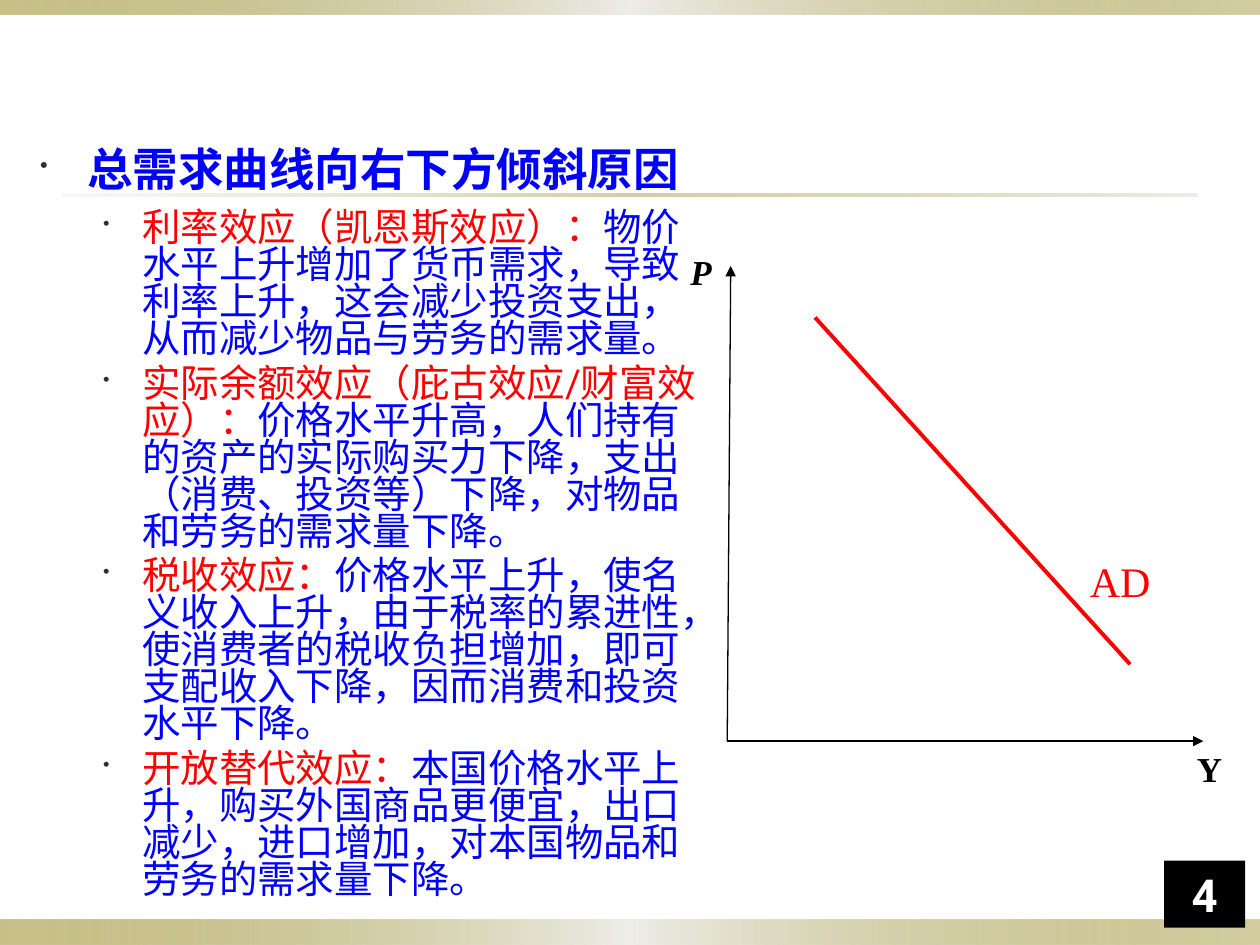
from dataclasses import dataclass
from typing import NamedTuple

from lxml import etree
from pptx import Presentation
from pptx.dml.color import RGBColor
from pptx.enum.shapes import MSO_CONNECTOR, MSO_SHAPE
from pptx.enum.text import MSO_ANCHOR, PP_ALIGN
from pptx.oxml.ns import qn
from pptx.util import Cm, Pt

RECTANGLE = MSO_SHAPE.RECTANGLE
STRAIGHT = MSO_CONNECTOR.STRAIGHT
BOTTOM = MSO_ANCHOR.BOTTOM
CENTER = PP_ALIGN.CENTER


@dataclass(frozen=True)
class Theme:
    body_font: str = "Roboto"
    label_font: str = "Times New Roman"
    blue: str = "0000FF"
    red: str = "FF0000"
    black: str = "000000"
    white: str = "FFFFFF"
    bullet: str = "2F2F2F"
    olive: str = "918415"
    pale: str = "EEEDE8"
    sand: str = "DCD9CC"
    heading_size: int = 26
    text_size: int = 22
    curve_size: int = 24
    axis_size: int = 20


THEME = Theme()


class Area(NamedTuple):
    left: float
    top: float
    width: float
    height: float

    def lengths(self) -> list:
        return [Cm(value) for value in self]


class Stop(NamedTuple):
    position: int
    color: str
    opacity: int


class Band(NamedTuple):
    area: Area
    stops: tuple


class Stroke(NamedTuple):
    start: tuple
    end: tuple
    color: str
    width: float
    arrow: bool


class Label(NamedTuple):
    text: str
    area: Area
    size: int
    color: str
    styles: dict


class Effect(NamedTuple):
    name: str
    reason: str


BAR_STOPS = (Stop(0, THEME.olive, 50), Stop(50, THEME.pale, 100), Stop(100, THEME.olive, 40))
RULE_STOPS = (Stop(0, THEME.sand, 20), Stop(50, THEME.olive, 40), Stop(100, THEME.sand, 50))
BANDS = (
    Band(Area(0, 18.54, 25.4, 0.51), BAR_STOPS),
    Band(Area(0, 0, 25.4, 0.3), BAR_STOPS),
    Band(Area(1.27, 3.91, 22.86, 0.05), RULE_STOPS),
)
ORIGIN = (14.66, 14.94)
STROKES = (
    Stroke(ORIGIN, (24.26, 14.94), THEME.black, 0.75, True),
    Stroke(ORIGIN, (14.73, 5.36), THEME.black, 0.75, True),
    Stroke((16.43, 6.4), (22.78, 13.39), THEME.red, 2.25, False),
)
LABELS = (
    Label("AD", Area(21.72, 11.07, 2.54, 1.27), THEME.curve_size, THEME.red, {}),
    Label("Y", Area(23.88, 14.94, 1.24, 1.09), THEME.axis_size, THEME.black, {"bold": True}),
    Label("P", Area(13.67, 4.93, 1.27, 1.09), THEME.axis_size, THEME.black,
          {"bold": True, "italic": True}),
)
HEADING = "总需求曲线向右下方倾斜原因"
EFFECTS = (
    Effect("利率效应（凯恩斯效应）：",
           "物价水平上升增加了货币需求，导致利率上升，这会减少投资支出，从而减少物品与劳务的需求量。"),
    Effect("实际余额效应（庇古效应/财富效应）：",
           "价格水平升高，人们持有的资产的实际购买力下降，支出（消费、投资等）下降，对物品和劳务的需求量下降。"),
    Effect("税收效应：",
           "价格水平上升，使名义收入上升，由于税率的累进性，使消费者的税收负担增加，即可支配收入下降，因而消费和投资水平下降。"),
    Effect("开放替代效应：",
           "本国价格水平上升，购买外国商品更便宜，出口减少，进口增加，对本国物品和劳务的需求量下降。"),
)


def add_child(parent, tag: str, **attributes):
    return etree.SubElement(parent, qn(tag), attributes)


def set_format(target, values: dict) -> None:
    for name, value in values.items():
        setattr(target, name, value)


def add_span(para, text: str, font: str, size: int, color: str, **styles) -> None:
    span = para.add_run()
    span.text = text
    set_format(span.font, {"name": font, "size": Pt(size), **styles})
    span.font.color.rgb = RGBColor.from_string(color)
    for tag in ("a:ea", "a:cs"):
        add_child(span.font._element, tag, typeface=font)


def add_bullet(para, margin: float, indent: float) -> None:
    properties = para._p.get_or_add_pPr()
    properties.set("marL", str(Cm(margin)))
    properties.set("indent", str(Cm(indent)))
    add_child(add_child(properties, "a:buClr"), "a:srgbClr", val=THEME.bullet)
    add_child(properties, "a:buSzPct", val="50000")
    add_child(properties, "a:buChar", char="•")


def add_box(page, area: Area):
    box = page.shapes.add_textbox(*area.lengths())
    box.text_frame.word_wrap = True
    return box.text_frame


def add_rectangle(page, area: Area):
    shape = page.shapes.add_shape(RECTANGLE, *area.lengths())
    shape.shadow.inherit = False
    shape.line.fill.background()
    return shape


def draw_band(page, band: Band) -> None:
    shape = add_rectangle(page, band.area)
    shape.fill.gradient()
    shape.fill.gradient_angle = 0
    stop_list = shape._element.spPr.find(qn("a:gradFill")).find(qn("a:gsLst"))
    for old_stop in list(stop_list):
        stop_list.remove(old_stop)
    for stop in band.stops:
        entry = add_child(stop_list, "a:gs", pos=str(stop.position * 1000))
        color = add_child(entry, "a:srgbClr", val=stop.color)
        add_child(color, "a:alpha", val=str(stop.opacity * 1000))


def draw_stroke(page, stroke: Stroke) -> None:
    points = [Cm(value) for value in stroke.start + stroke.end]
    connector = page.shapes.add_connector(STRAIGHT, *points)
    connector.line.color.rgb = RGBColor.from_string(stroke.color)
    connector.line.width = Pt(stroke.width)
    if stroke.arrow:
        add_child(connector.line._get_or_add_ln(), "a:tailEnd", type="triangle")
    add_child(connector._element.spPr, "a:effectLst")


def draw_label(page, label: Label) -> None:
    para = add_box(page, label.area).paragraphs[0]
    add_span(para, label.text, THEME.label_font, label.size, label.color, **label.styles)


def draw_body(page) -> None:
    frame = add_box(page, Area(0.56, 2.72, 13.89, 14.66))
    para = frame.paragraphs[0]
    add_bullet(para, 0.95, -0.95)
    para.space_after = Pt(5.2)
    add_span(para, HEADING, THEME.body_font, THEME.heading_size, THEME.blue, bold=True)
    for effect in EFFECTS:
        para = frame.add_paragraph()
        add_bullet(para, 2.06, -0.79)
        set_format(para, {"level": 1, "line_spacing": 0.8, "space_before": Pt(4.4)})
        for text, color in zip(effect, (THEME.red, THEME.blue)):
            add_span(para, text, THEME.body_font, THEME.text_size, color, bold=False)


def draw_page_number(page) -> None:
    shape = add_rectangle(page, Area(23.47, 17.35, 1.63, 1.35))
    shape.fill.solid()
    shape.fill.fore_color.rgb = RGBColor.from_string(THEME.black)
    shape.text_frame.vertical_anchor = BOTTOM
    para = shape.text_frame.paragraphs[0]
    para.alignment = CENTER
    add_span(para, "4", THEME.body_font, THEME.heading_size, THEME.white, bold=True)


def main() -> None:
    deck = Presentation()
    set_format(deck, {"slide_width": Cm(25.4), "slide_height": Cm(19.05)})
    page = deck.slides.add_slide(deck.slide_layouts[6])
    for band in BANDS:
        draw_band(page, band)
    draw_body(page)
    for stroke in STROKES:
        draw_stroke(page, stroke)
    for label in LABELS:
        draw_label(page, label)
    draw_page_number(page)
    deck.save("out.pptx")


if __name__ == "__main__":
    main()
